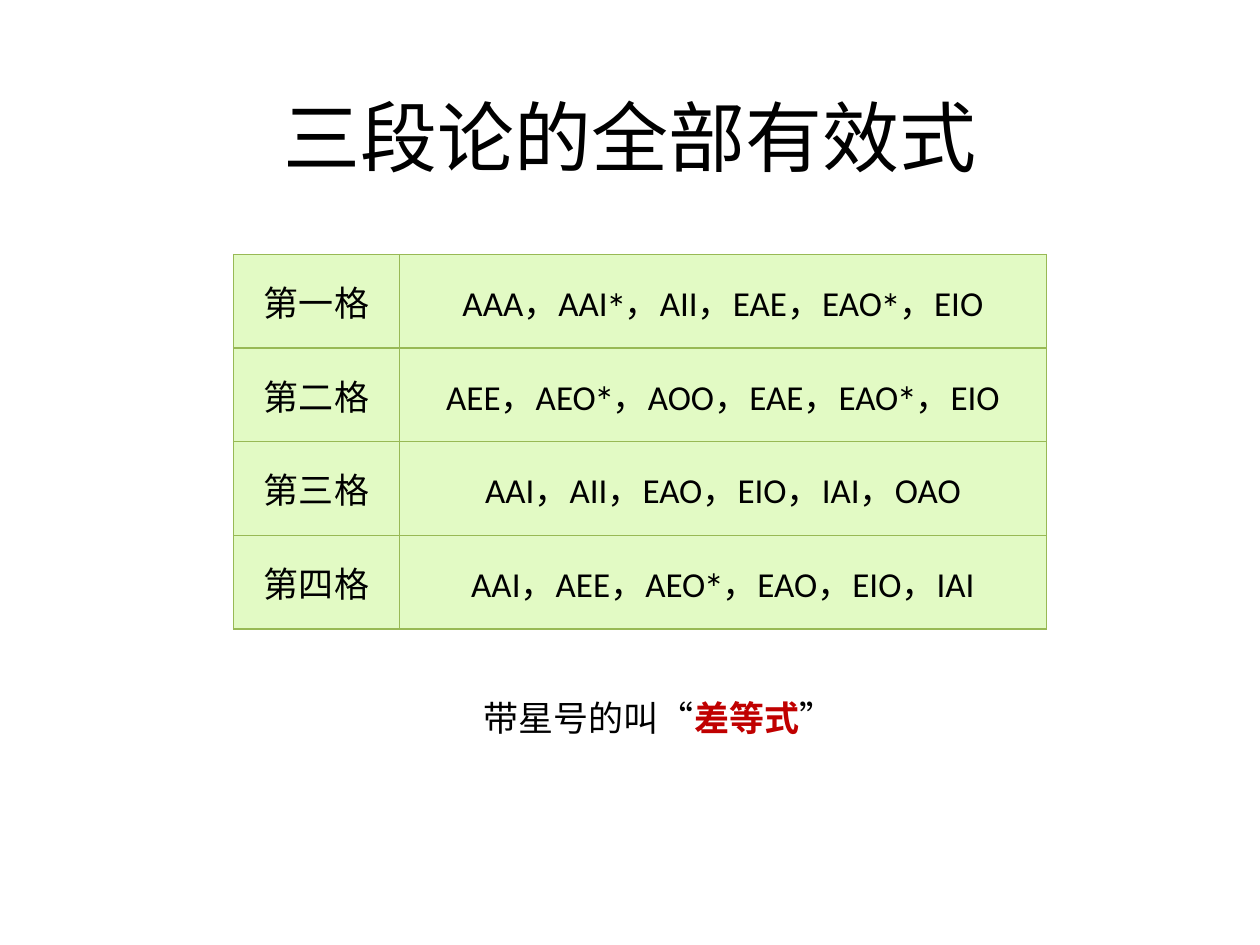
from lxml.etree import SubElement
from pptx import Presentation
from pptx.dml.color import RGBColor
from pptx.enum.text import MSO_ANCHOR, MSO_AUTO_SIZE, PP_ALIGN
from pptx.oxml import parse_xml
from pptx.oxml.ns import nsdecls, qn
from pptx.util import Pt

BLACK = RGBColor(0x00, 0x00, 0x00)
RED = RGBColor(0xC0, 0x00, 0x00)
PALE_GREEN = RGBColor(0xE2, 0xFA, 0xC4)
BORDER_GREEN = RGBColor(0x98, 0xB9, 0x55)
HEADING_FONT = "Noto Sans CJK JP"
CHINESE_FONT = "Noto Sans CJK SC"
LATIN_FONT = "Calibri"

FIGURES = [
    ("第一格", "AAA，AAI∗，AII，EAE，EAO∗，EIO"),
    ("第二格", "AEE，AEO∗，AOO，EAE，EAO∗，EIO"),
    ("第三格", "AAI，AII，EAO，EIO，IAI，OAO"),
    ("第四格", "AAI，AEE，AEO∗，EAO，EIO，IAI"),
]


def add_text(paragraph, text, size, latin, chinese, color=BLACK, bold=False):
    run = paragraph.add_run()
    run.text = text
    run.font.size = Pt(size)
    run.font.bold = bold
    run.font.color.rgb = color
    run.font.name = latin
    properties = run.font._element
    properties.set("lang", "zh-CN")
    SubElement(properties, qn("a:ea")).set("typeface", chinese)
    if text == "∗":
        properties.set("baseline", "30000")


def add_borders(cell):
    for position, side in enumerate(("lnL", "lnR", "lnT", "lnB")):
        border = parse_xml(
            f'<a:{side} {nsdecls("a")} w="{Pt(0.75)}"><a:solidFill>'
            f'<a:srgbClr val="{BORDER_GREEN}"/></a:solidFill></a:{side}>'
        )
        cell._tc.get_or_add_tcPr().insert(position, border)


prs = Presentation()
prs.slide_width, prs.slide_height = Pt(720), Pt(540)
slide = prs.slides.add_slide(prs.slide_layouts[5])

title = slide.shapes.title
title.left, title.top, title.width, title.height = Pt(36), Pt(32.4), Pt(648), Pt(90)
title.text_frame.vertical_anchor = MSO_ANCHOR.MIDDLE
heading = title.text_frame.paragraphs[0]
heading.alignment = PP_ALIGN.CENTER
add_text(heading, "三段论的全部有效式", 44, HEADING_FONT, HEADING_FONT)

moods = slide.shapes.add_table(
    len(FIGURES), 2, Pt(133.4), Pt(145.4), Pt(464.4), Pt(214)
).table
for column, width in zip(moods.columns, (95, 369.4)):
    column.width = Pt(width)

for row, figure in enumerate(FIGURES):
    moods.rows[row].height = Pt(53.5)
    for column, (content, font) in enumerate(zip(figure, (CHINESE_FONT, LATIN_FONT))):
        cell = moods.cell(row, column)
        cell.margin_left = cell.margin_right = Pt(5)
        cell.margin_top = cell.margin_bottom = Pt(0)
        cell.vertical_anchor = MSO_ANCHOR.MIDDLE
        cell.fill.solid()
        cell.fill.fore_color.rgb = PALE_GREEN
        add_borders(cell)
        paragraph = cell.text_frame.paragraphs[0]
        paragraph.alignment = PP_ALIGN.CENTER
        for part in content.replace("∗", "|∗|").split("|"):
            add_text(paragraph, part, 20, font, CHINESE_FONT)

note = slide.shapes.add_textbox(Pt(269.3), Pt(394.6), Pt(232.6), Pt(31.7)).text_frame
note.word_wrap = True
note.auto_size = MSO_AUTO_SIZE.SHAPE_TO_FIT_TEXT
explanation = note.paragraphs[0]
add_text(explanation, "带星号的叫“", 20, HEADING_FONT, HEADING_FONT)
add_text(explanation, "差等式", 20, HEADING_FONT, HEADING_FONT, RED, True)
add_text(explanation, "”", 20, HEADING_FONT, HEADING_FONT)

prs.save("out.pptx")
